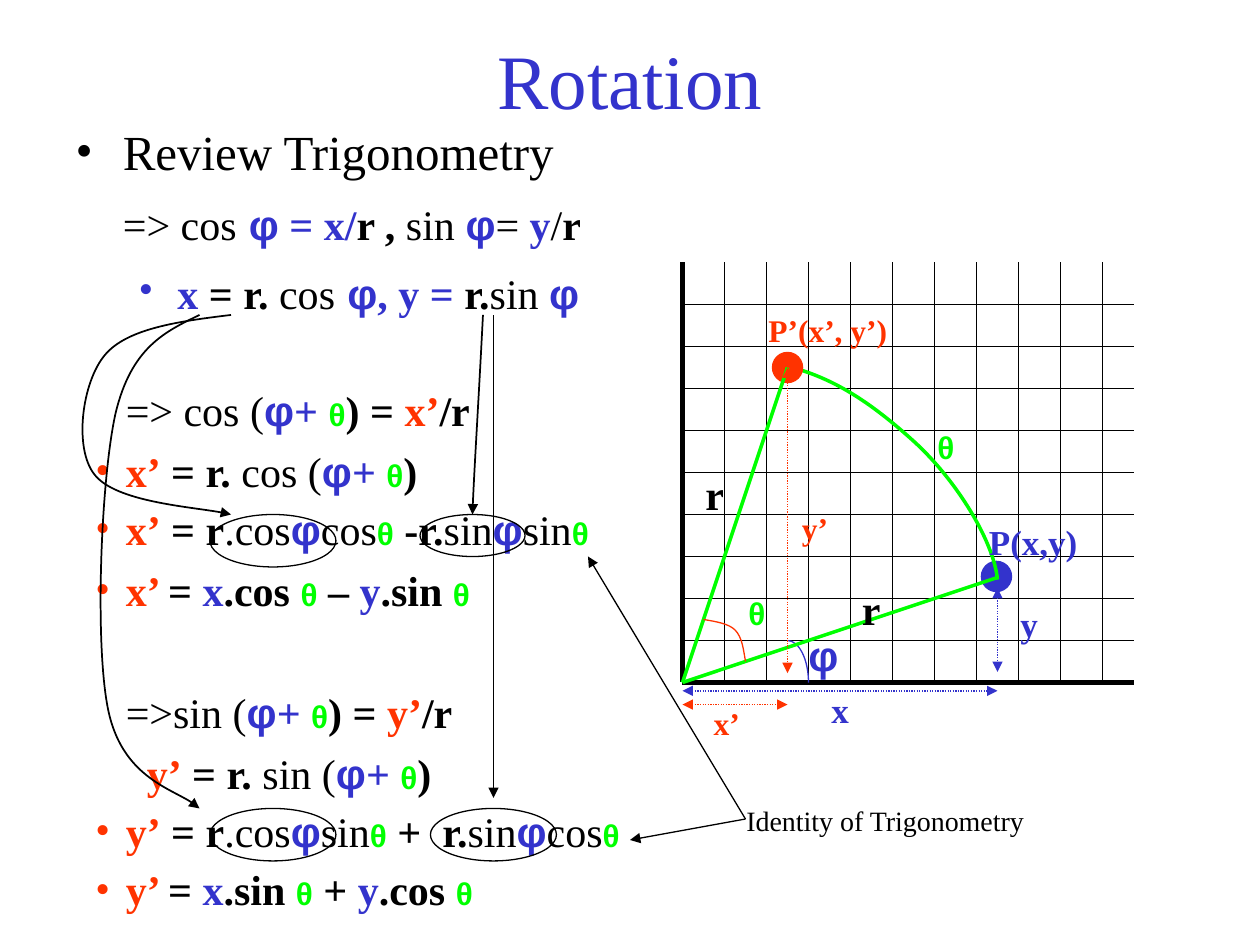
from dataclasses import dataclass

from lxml import etree
from pptx import Presentation
from pptx import util as u
from pptx.dml.color import RGBColor
from pptx.enum import dml, shapes, text
from pptx.oxml.ns import qn

EMU_PER_PX = 914400 // 120
CELL = 40
ORIGIN = (650, 650)
TOP, RIGHT = 250, 1080
P = (950, 550)
P_ROTATED = (750, 350)


@dataclass(frozen=True)
class Theme:
    serif: str = "Times New Roman"
    sans: str = "Arial"
    black: str = "000000"
    blue: str = "3333CC"
    red: str = "FF3300"
    green: str = "00FF00"
    title: int = 44
    heading: int = 28
    formula: int = 24
    point: int = 20
    small: int = 18
    note: int = 16


THEME = Theme()
# style name: (font, size, colour, bold)
STYLES = {
    "title": (THEME.serif, THEME.title, THEME.blue, False),
    "heading": (THEME.serif, THEME.heading, THEME.black, False),
    "plain": (THEME.serif, THEME.formula, THEME.black, False),
    "bold": (THEME.serif, THEME.formula, THEME.black, True),
    "blue": (THEME.serif, THEME.formula, THEME.blue, True),
    "red": (THEME.serif, THEME.formula, THEME.red, True),
    "phi": (THEME.sans, THEME.formula, THEME.blue, True),
    "theta": (THEME.sans, THEME.small, THEME.green, True),
    "point": (THEME.serif, THEME.point, THEME.blue, True),
    "rotated": (THEME.serif, THEME.small, THEME.red, True),
    "note": (THEME.serif, THEME.note, THEME.black, False),
}
PHI, THETA, GAP = ("φ", "phi"), ("θ", "theta"), (" ", "heading")
ANGLE_SUM = [PHI, ("+ ", "blue"), THETA]

# paragraph: (runs, left, indent, space before, bullet colour)
REVIEW = [
    ([("Review Trigonometry", "heading")], 45, -45, 0, THEME.black),
    ([("=> cos", "plain"), GAP, PHI, (" = x/", "blue"), ("r , ", "bold"), ("sin ", "plain"),
      PHI, ("= ", "plain"), ("y", "blue"), ("/", "plain"), ("r", "bold")], 45, 0, 6, None),
    ([("x", "blue"), (" = r. ", "bold"), ("cos", "plain"), GAP, PHI, (", y = ", "blue"),
      ("r.", "bold"), ("sin ", "plain"), PHI], 97, -37, 6, THEME.blue),
]


def ratio(function, target):
    return [(f"{function} (", "plain"), *ANGLE_SUM, (") = ", "bold"),
            (target, "red"), ("/r", "bold")]


def polar(target, function):
    return [(target, "red"), (" = r.", "bold"), (f" {function} (", "plain"),
            *ANGLE_SUM, (")", "bold")]


def expanded(target, first, sign, second):
    return [(target, "red"), (" = r", "bold"), (".cos", "plain"), PHI, (first, "plain"), THETA,
            (f" {sign}r.", "bold"), ("sin", "plain"), PHI, (second, "plain"), THETA]


def cartesian(target, first, sign, second):
    return [(f"{target} ", "red"), ("= ", "bold"), ("x", "blue"), (f".{first} ", "bold"), THETA,
            (f" {sign} ", "bold"), ("y", "blue"), (f".{second} ", "bold"), THETA]


DERIVATION = [
    (ratio("=> cos", "x’"), 60, 0, 0, None),
    (polar("x’", "cos"), 60, -29, 6, THEME.red),
    (expanded("x’", "cos", "-", "sin"), 60, -29, 4.5, THEME.red),
    (cartesian("x’", "cos", "–", "sin"), 60, -29, 6, THEME.red),
    (ratio("=>sin", "y’"), 60, 0, 41, None),
    (polar("y’", "sin"), 80, 0, 6, None),
    (expanded("y’", "sin", "+  ", "cos"), 60, -29, 4.5, THEME.red),
    (cartesian("y’", "sin", "+", "cos"), 60, -29, 4.5, THEME.red),
]

# label: (text, style, left, top, width, height)
LABELS = [
    ("θ", "theta", 881, 402, 40, 48),
    ("φ", "phi", 758, 594, 54, 60),
    ("P(x,y)", "point", 930, 490, 112, 53),
    ("x", "point", 780, 650, 41, 53),
    ("y", "point", 960, 568, 41, 53),
    ("r", "bold", 809, 550, 42, 60),
    ("x’", "rotated", 668, 665, 50, 48),
    ("y’", "rotated", 752, 479, 50, 48),
    ("θ", "theta", 701, 560, 40, 48),
    ("P’(x’, y’)", "rotated", 720, 290, 138, 48),
    ("r", "bold", 660, 440, 42, 60),
    ("Identity of Trigonometry", "note", 699, 759, 290, 43),
]


def px(value):
    return u.Emu(value * EMU_PER_PX)


def place(shape, *box):
    shape.left, shape.top, shape.width, shape.height = map(px, box)


def add_runs(paragraph, runs):
    for words, style in runs:
        run = paragraph.add_run()
        run.text = words
        name, size, color, bold = STYLES[style]
        run.font.name, run.font.size, run.font.bold = name, u.Pt(size), bold
        run.font.color.rgb = RGBColor.from_string(color)


def set_bullet(paragraph, left, indent, color):
    properties = paragraph._p.get_or_add_pPr()
    properties.set("marL", str(px(left)))
    properties.set("indent", str(px(indent)))
    if color is None:
        etree.SubElement(properties, qn("a:buNone"))
        return
    fill = etree.SubElement(properties, qn("a:buClr"))
    etree.SubElement(fill, qn("a:srgbClr"), val=color)
    etree.SubElement(properties, qn("a:buFont"), typeface=THEME.serif)
    etree.SubElement(properties, qn("a:buChar"), char="•")


def fill_list(frame, rows):
    for number, (runs, left, indent, before, bullet) in enumerate(rows):
        paragraph = frame.add_paragraph() if number else frame.paragraphs[0]
        set_bullet(paragraph, left, indent, bullet)
        paragraph.space_before = u.Pt(before)
        add_runs(paragraph, runs)


def add_text_box(slide, *box):
    frame = slide.shapes.add_textbox(*map(px, box)).text_frame
    frame.word_wrap = False
    frame.auto_size = text.MSO_AUTO_SIZE.SHAPE_TO_FIT_TEXT
    return frame


def style_line(shape, color, width, ends=()):
    shape.line.color.rgb = RGBColor.from_string(color)
    shape.line.width = u.Pt(width)
    for end in ends:
        etree.SubElement(shape.line._get_or_add_ln(), qn(f"a:{end}"), type="triangle")


def add_line(slide, start, end, color=THEME.black, width=0.75, ends=(), dotted=False):
    line = slide.shapes.add_connector(shapes.MSO_CONNECTOR.STRAIGHT, *map(px, start + end))
    if dotted:
        line.line.dash_style = dml.MSO_LINE.ROUND_DOT
    style_line(line, color, width, ends)
    etree.SubElement(line._element.spPr, qn("a:effectLst"))


def add_dimension(slide, start, end, color):
    add_line(slide, start, end, color, ends=("headEnd", "tailEnd"), dotted=True)


def add_curve(slide, points, color, width, ends=()):
    """Draw joined cubic curves; each takes three points after its start."""
    builder = slide.shapes.build_freeform(*points[0], scale=EMU_PER_PX)
    builder.add_line_segments(points[1:], close=False)
    curve = builder.convert_to_shape()
    segments = list(curve._element.iter(qn("a:lnTo")))
    for first in range(0, len(segments), 3):
        cubic = etree.Element(qn("a:cubicBezTo"))
        segments[first].addprevious(cubic)
        for segment in segments[first:first + 3]:
            cubic.append(segment[0])
            segment.getparent().remove(segment)
    curve.shadow.inherit = False
    curve.fill.background()
    style_line(curve, color, width, ends)


def add_ellipse(slide, box, fill=None):
    ellipse = slide.shapes.add_shape(shapes.MSO_SHAPE.OVAL, *map(px, box))
    ellipse.shadow.inherit = False
    if fill:
        ellipse.fill.solid()
        ellipse.fill.fore_color.rgb = RGBColor.from_string(fill)
        ellipse.line.fill.background()
    else:
        ellipse.fill.background()
        style_line(ellipse, THEME.black, 0.75)


def add_grid(slide):
    x, y = ORIGIN
    for column in range(11):
        left = x + column * CELL
        add_line(slide, (left, TOP), (left, y), width=0.75 if column else 3)
    for row in range(10):
        height = y - row * CELL
        add_line(slide, (x, height), (RIGHT, height), width=0.75 if row else 3)


def add_diagram(slide):
    x, y = ORIGIN
    add_grid(slide)
    add_ellipse(slide, (934, 534, 30, 30), THEME.blue)
    add_curve(slide, [(950, 552), (947, 517), (912, 458), (870, 420), (828, 382), (790, 359),
                      (751, 349)], THEME.green, 2, ["tailEnd"])
    add_curve(slide, [(750, 610), (761, 610), (770, 628), (770, 650)], THEME.blue, 0.75)
    add_dimension(slide, (P[0], 560), (P[0], 640), THEME.blue)
    add_line(slide, ORIGIN, P, THEME.green, 2)
    add_dimension(slide, (x, 658), (P[0], 658), THEME.blue)
    add_ellipse(slide, (735, 335, 30, 30), THEME.red)
    add_line(slide, ORIGIN, P_ROTATED, THEME.green, 2)
    add_dimension(slide, P_ROTATED, (P_ROTATED[0], 641), THEME.red)
    add_curve(slide, [(710, 630), (708, 619), (707, 607), (700, 600), (694, 594), (682, 592),
                      (670, 590)], THEME.red, 0.75)
    add_dimension(slide, (x, 671), (P_ROTATED[0], 671), THEME.red)


def add_links(slide):
    for box in ((200, 490, 120, 50), (400, 490, 100, 40),
                (200, 770, 120, 50), (410, 770, 120, 50)):
        add_ellipse(slide, box)
    for points in (
        [(220, 300), (170, 306), (121, 313), (100, 338), (78, 364), (70, 427), (90, 452),
         (110, 478), (198, 484), (220, 490)],
        [(460, 300), (456, 379), (451, 458), (450, 490)],
        [(190, 300), (157, 316), (125, 331), (110, 394), (96, 457), (90, 613), (103, 676),
         (116, 739), (175, 755), (190, 770)],
    ):
        add_curve(slide, points, THEME.black, 1, ["tailEnd"])
    for start, end in (((470, 300), (470, 760)), ((710, 780), (560, 530)),
                       ((710, 780), (600, 800))):
        add_line(slide, start, end, ends=["tailEnd"])


def main():
    presentation = Presentation()
    presentation.slide_width, presentation.slide_height = px(1200), px(900)
    slide = presentation.slides.add_slide(presentation.slide_layouts[1])
    title, body = slide.placeholders
    place(title, 90, 0, 1020, 150)
    title.text_frame.vertical_anchor = text.MSO_ANCHOR.MIDDLE
    add_runs(title.text_frame.paragraphs[0], [("Rotation", "title")])
    place(body, 60, 110, 580, 210)
    body.text_frame.auto_size = text.MSO_AUTO_SIZE.NONE
    fill_list(body.text_frame, REVIEW)
    add_diagram(slide)
    for words, style, *box in LABELS:
        add_runs(add_text_box(slide, *box).paragraphs[0], [(words, style)])
    fill_list(add_text_box(slide, 48, 360, 556, 517), DERIVATION)
    add_links(slide)
    presentation.save("out.pptx")


if __name__ == "__main__":
    main()
